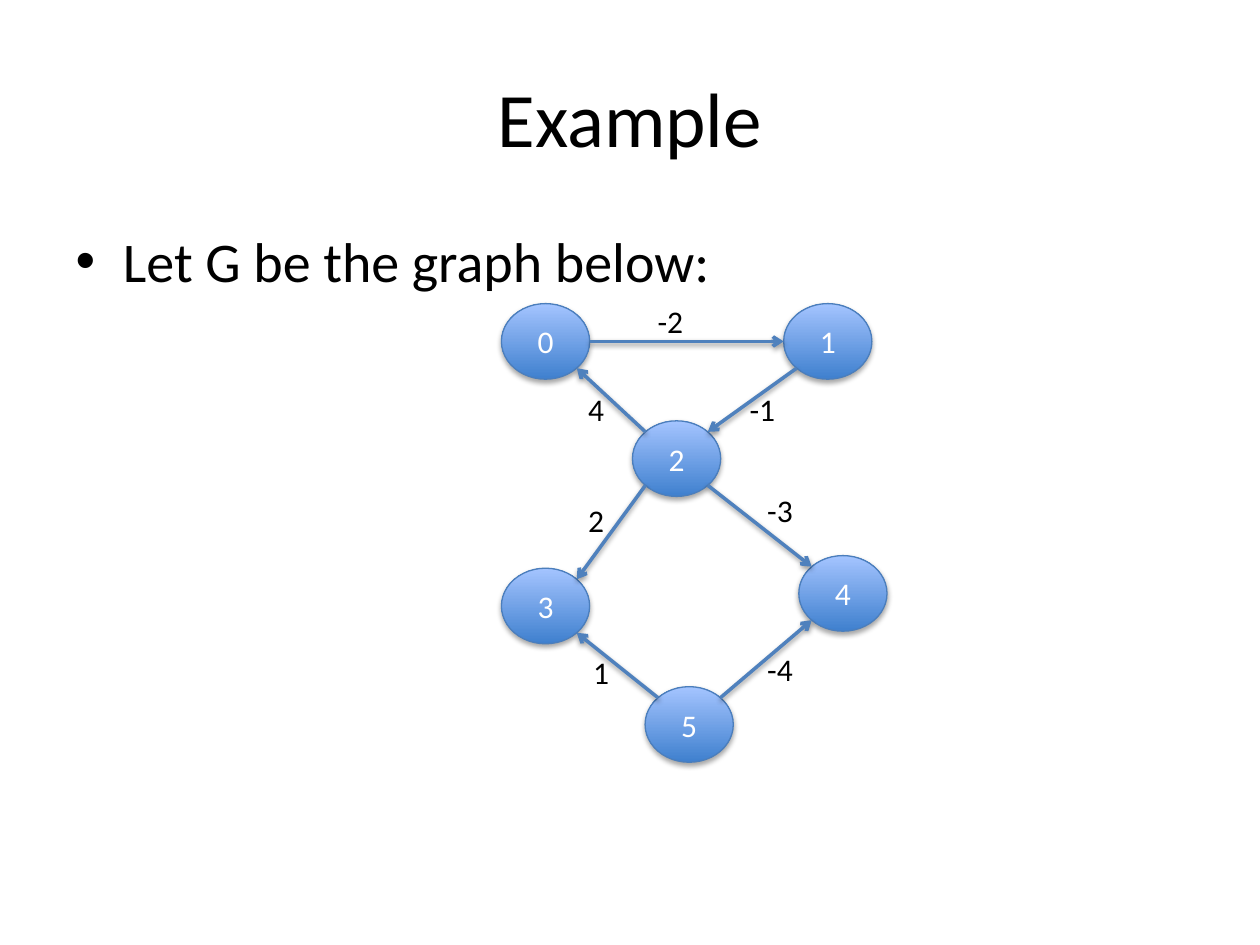
from dataclasses import dataclass
from math import sqrt

from lxml.etree import SubElement
from pptx import Presentation
from pptx.dml.color import RGBColor as Color
from pptx.enum.shapes import MSO_CONNECTOR as Connector, MSO_SHAPE as Shape
from pptx.enum.text import MSO_ANCHOR as Anchor, MSO_AUTO_SIZE as AutoSize, PP_ALIGN as Align
from pptx.oxml.ns import qn
from pptx.util import Inches, Pt


@dataclass(frozen=True)
class Theme:
    """Colours, font and type sizes of the slide."""
    font: str = "Calibri"
    text: str = "000000"
    node_text: str = "FFFFFF"
    node_bottom: str = "3F80CE"
    node_top: str = "A4C4FF"
    node_line: str = "4B7EBC"
    edge: str = "4F81BD"
    shadow: str = "000000"
    title_size: int = 44
    body_size: int = 32
    graph_size: int = 18


THEME = Theme()
NODE_WIDTH, NODE_HEIGHT = 0.7, 0.6
LABEL_WIDTH, LABEL_HEIGHT = 0.49, 0.4
NODES = {
    "0": (0, 0),
    "1": (2.24, 0),
    "2": (1.04, 0.93),
    "4": (2.36, 2),
    "3": (0, 2.1),
    "5": (1.14, 3.04),
}
EDGES = [
    ("0", "1", "-2", (1.14, -0.06)),
    ("1", "2", "-1", (1.87, 0.64)),
    ("2", "0", "4", (0.59, 0.64)),
    ("2", "3", "2", (0.59, 1.52)),
    ("2", "4", "-3", (2.01, 1.44)),
    ("5", "3", "1", (0.63, 2.72)),
    ("5", "4", "-4", (2.01, 2.7)),
]


def write(text_frame, text, size, color, align=None):
    """Put one formatted paragraph into a text frame."""
    paragraph = text_frame.paragraphs[0]
    paragraph.text = text
    paragraph.alignment = align
    paragraph.font.name = THEME.font
    paragraph.font.size = Pt(size)
    paragraph.font.color.rgb = Color.from_string(color)


def add_shadow(shape, distance, opacity):
    """Give a shape or connector a soft shadow straight below it."""
    effects = SubElement(shape._element.spPr, qn("a:effectLst"))
    shadow = SubElement(effects, qn("a:outerShdw"), blurRad=str(Pt(3.1)),
                        dist=str(Pt(distance)), dir="5400000", rotWithShape="0")
    color = SubElement(shadow, qn("a:srgbClr"), val=THEME.shadow)
    SubElement(color, qn("a:alpha"), val=str(opacity * 1000))


def fill_placeholder(placeholder, box, text, size, align=None):
    """Place a template placeholder in its box and write its text."""
    placeholder.left, placeholder.top, placeholder.width, placeholder.height = map(Inches, box)
    write(placeholder.text_frame, text, size, THEME.text, align)


def add_node(slide, left, top, name):
    """Draw one shaded graph node."""
    node = slide.shapes.add_shape(Shape.OVAL, Inches(left), Inches(top),
                                  Inches(NODE_WIDTH), Inches(NODE_HEIGHT))
    node.fill.gradient()
    node.fill.gradient_angle = 90
    for stop, color in zip(node.fill.gradient_stops, (THEME.node_bottom, THEME.node_top)):
        stop.color.rgb = Color.from_string(color)
    node.line.color.rgb = Color.from_string(THEME.node_line)
    node.line.width = Pt(0.75)
    add_shadow(node, 1.8, 35)
    node.text_frame.vertical_anchor = Anchor.MIDDLE
    write(node.text_frame, name, THEME.graph_size, THEME.node_text, Align.CENTER)


def rim_point(node, other):
    """Find the point on a node's rim, at 0 or 45 degrees, that faces another node."""
    across = 1 if other[0] > node[0] else -1
    down = (other[1] > node[1]) - (other[1] < node[1])
    reach = 1 / sqrt(2) if down else 1
    return (node[0] + NODE_WIDTH / 2 * (1 + across * reach),
            node[1] + NODE_HEIGHT / 2 * (1 + down * reach))


def add_edge(slide, start, end):
    """Draw an arrow between two nodes."""
    points = (*rim_point(start, end), *rim_point(end, start))
    edge = slide.shapes.add_connector(Connector.STRAIGHT, *map(Inches, points))
    edge.line.color.rgb = Color.from_string(THEME.edge)
    edge.line.width = Pt(2)
    SubElement(edge.line._get_or_add_ln(), qn("a:tailEnd"), type="arrow")
    add_shadow(edge, 1.6, 38)


def add_weight(slide, left, top, text):
    """Write the weight of one edge."""
    label = slide.shapes.add_textbox(Inches(left), Inches(top),
                                     Inches(LABEL_WIDTH), Inches(LABEL_HEIGHT))
    label.text_frame.word_wrap = True
    label.text_frame.auto_size = AutoSize.SHAPE_TO_FIT_TEXT
    write(label.text_frame, text, THEME.graph_size, THEME.text)


def add_graph(slide, left, top):
    """Draw the weighted directed graph from its top left corner."""
    places = {name: (left + x, top + y) for name, (x, y) in NODES.items()}
    for name, place in places.items():
        add_node(slide, *place, name)
    for start, end, _, _ in EDGES:
        add_edge(slide, places[start], places[end])
    for _, _, weight, (x, y) in EDGES:
        add_weight(slide, left + x, top + y, weight)


def main():
    """Build and save the slide."""
    presentation = Presentation()
    presentation.slide_width, presentation.slide_height = Inches(10), Inches(7.5)
    slide = presentation.slides.add_slide(presentation.slide_layouts[1])
    title, body = slide.placeholders
    fill_placeholder(title, (0.5, 0.3, 9, 1.25), "Example", THEME.title_size, Align.CENTER)
    fill_placeholder(body, (0.5, 1.75, 9, 4.95), "Let G be the graph below:", THEME.body_size)
    add_graph(slide, 3.98, 2.41)
    presentation.save("out.pptx")


if __name__ == "__main__":
    main()
